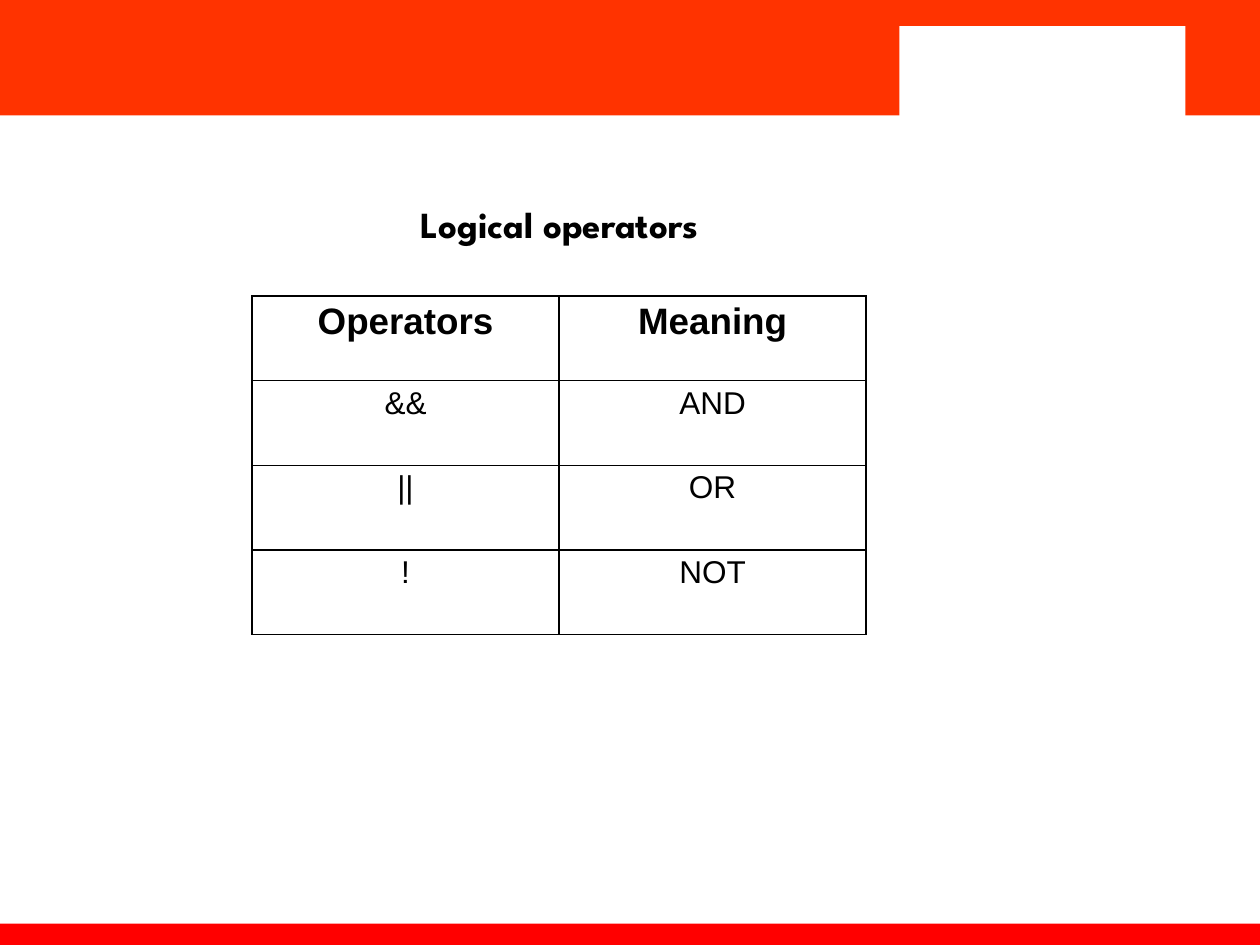
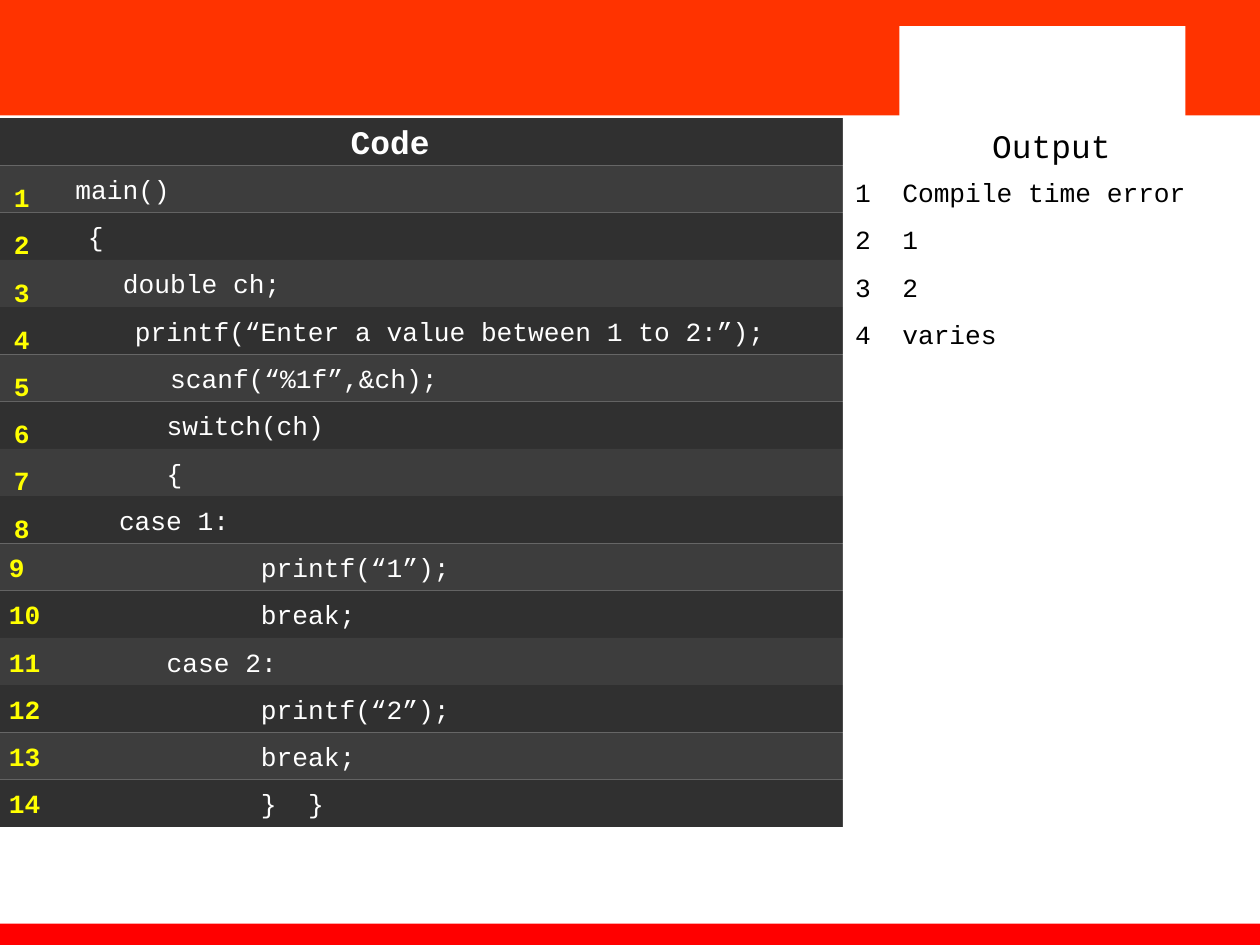
from pptx import Presentation
from pptx.dml.color import RGBColor
from pptx.enum.shapes import MSO_SHAPE as Shape
from pptx.enum.text import MSO_ANCHOR as Anchor, PP_ALIGN as Align
from pptx.oxml.ns import qn
from pptx.util import Cm, Pt
from lxml.etree import SubElement as sub

ORANGE = RGBColor(0xFF, 0x33, 0x00)
RED = RGBColor(0xFF, 0x00, 0x00)
WHITE = RGBColor(0xFF, 0xFF, 0xFF)
BLACK = RGBColor(0x00, 0x00, 0x00)
YELLOW = RGBColor(0xFF, 0xFF, 0x00)
DARK = RGBColor(0x30, 0x30, 0x30)
GREY = RGBColor(0x3D, 0x3D, 0x3D)

SANS, MONO, TITLE = "Arial", "Courier New", "League Spartan"
WIDTH, HEIGHT = 25.4, 19.05

LOGIC = [("Operators", "Meaning"), ("&&", "AND"), ("||", "OR"), ("!", "NOT")]

# Start of the code within its bar in cm, then the code
CODE = [
    (1.52, "main()"),
    (1.77, "{"),
    (2.48, "double ch;"),
    (2.72, "printf(“Enter a value between 1 to 2:”);"),
    (3.43, "scanf(“%1f”,&ch);"),
    (3.36, "switch(ch)"),
    (3.36, "{"),
    (2.4, "case 1:"),
    (5.26, "printf(“1”);"),
    (5.26, "break;"),
    (3.36, "case 2:"),
    (5.26, "printf(“2”);"),
    (5.26, "break;"),
    (5.26, "}  }"),
]
SPLIT = 8  # lines numbered in the side column; later ones in their bar
ANSWERS = ["Compile time error", "1", "2", "varies"]


def style(run, size, color, font=MONO, bold=False):
    run.font.size, run.font.name, run.font.bold = Pt(size), font, bold
    run.font.color.rgb = color


def inset(part, side, edge):
    part.margin_left = part.margin_right = Cm(side)
    part.margin_top = part.margin_bottom = Cm(edge)


def add_bar(slide, box, color):
    bar = slide.shapes.add_shape(Shape.RECTANGLE, *map(Cm, box))
    bar.shadow.inherit = False
    bar.fill.solid()
    bar.fill.fore_color.rgb = color
    bar.line.fill.background()
    frame = bar.text_frame
    frame.vertical_anchor = Anchor.MIDDLE
    inset(frame, 0.18, 0.1)
    frame.paragraphs[0].alignment = Align.LEFT
    return frame


def add_text(slide, box, lines, size, color, font=MONO, bold=False,
             align=Align.LEFT, space=1.0):
    frame = slide.shapes.add_textbox(*map(Cm, box)).text_frame
    frame.word_wrap = True
    inset(frame, 0.25, 0.13)
    frame.text = "\n".join(lines)
    for para in frame.paragraphs:
        para.alignment, para.line_spacing = align, space
        style(para.runs[0], size, color, font, bold)
    return frame


def add_frame(slide):
    """Top band with its white window, and bottom band."""
    add_bar(slide, (0, 0, WIDTH, 2.33), ORANGE)
    add_bar(slide, (0, 18.62, WIDTH, HEIGHT - 18.62), RED)
    add_bar(slide, (18.13, 0.53, 5.77, 1.91), WHITE)


def set_edges(cell):
    props = cell._tc.get_or_add_tcPr()
    for at, side in enumerate(("lnL", "lnR", "lnT", "lnB")):
        line = props.makeelement(qn("a:" + side), {"w": str(Pt(1))})
        fill = sub(line, qn("a:solidFill"))
        sub(fill, qn("a:srgbClr"), val=str(BLACK))
        props.insert(at, line)


def add_grid(slide, box, rows):
    x, y, w, h = box
    grid = slide.shapes.add_table(
        len(rows), len(rows[0]), Cm(x), Cm(y), Cm(w), Cm(h)).table
    grid.horz_banding = grid.first_row = False
    for r, row in enumerate(rows):
        for c, word in enumerate(row):
            cell = grid.cell(r, c)
            cell.fill.background()
            inset(cell, 0.18, 0.1)
            cell.text = word
            para = cell.text_frame.paragraphs[0]
            para.alignment = Align.CENTER
            style(para.runs[0], 18 if r else 21, BLACK, SANS, r == 0)
            set_edges(cell)


def set_tab(para, pos):
    tabs = sub(para._p.get_or_add_pPr(), qn("a:tabLst"))
    sub(tabs, qn("a:tab"), pos=str(Cm(pos)), algn="l")


def add_code(slide, box):
    """Heading bar, then one striped bar for each line of code."""
    x, y, w, h = box
    step = h / (len(CODE) + 1)
    head = add_bar(slide, (x, y, w, step), DARK)
    head.margin_left = Cm(7.07)
    head.text = "Code"
    style(head.paragraphs[0].runs[0], 18.8, WHITE, bold=True)

    for n, (start, code) in enumerate(CODE, 1):
        frame = add_bar(slide, (x, y + n * step, w, step),
                        GREY if n % 2 else DARK)
        para = frame.paragraphs[0]
        if n > SPLIT:
            run = para.add_run()
            run.text = str(n)
            style(run, 15, YELLOW, bold=True)
            set_tab(para, start - 0.18)
            code = "\t" + code
        else:
            frame.margin_left = Cm(start)
        run = para.add_run()
        run.text = code
        style(run, 15, WHITE)

    add_text(slide, (x + 0.03, y + 0.83, 1.07, 8.84),
             [str(n) for n in range(1, SPLIT + 1)], 15, YELLOW,
             bold=True, space=1.5)


def add_output(slide, box):
    """White panel with a heading and the numbered answers."""
    x, y, w, h = box
    add_bar(slide, box, WHITE)
    add_text(slide, (x, y + 0.03, w, 1.07), ["Output"], 18.8, BLACK,
             align=Align.CENTER)
    frame = add_text(slide, (x, y + 0.73, 7.77, 12.67), ANSWERS, 15, BLACK,
                     space=1.5)
    for para in frame.paragraphs:
        props = para._p.get_or_add_pPr()
        props.set("marL", str(Cm(0.95)))
        props.set("indent", str(Cm(-0.95)))
        sub(props, qn("a:buFont"), typeface=MONO)
        sub(props, qn("a:buAutoNum"), type="arabicPlain")


def logic_slide(slide):
    add_frame(slide)
    add_text(slide, (4.6, 3.49, 13.36, 1.5), ["Logical operators"], 21,
             BLACK, TITLE, True, Align.CENTER, 1.5)
    add_grid(slide, (5.08, 5.97, 12.38, 6.82), LOGIC)


def code_slide(slide):
    add_frame(slide)
    add_code(slide, (0, 2.38, WIDTH, 14.29))
    add_output(slide, (16.99, 2.38, WIDTH - 16.99, 14.29))


def main():
    deck = Presentation()
    deck.slide_width, deck.slide_height = Cm(WIDTH), Cm(HEIGHT)
    for build in (logic_slide, code_slide):
        build(deck.slides.add_slide(deck.slide_layouts[6]))
    deck.save("out.pptx")


if __name__ == "__main__":
    main()
